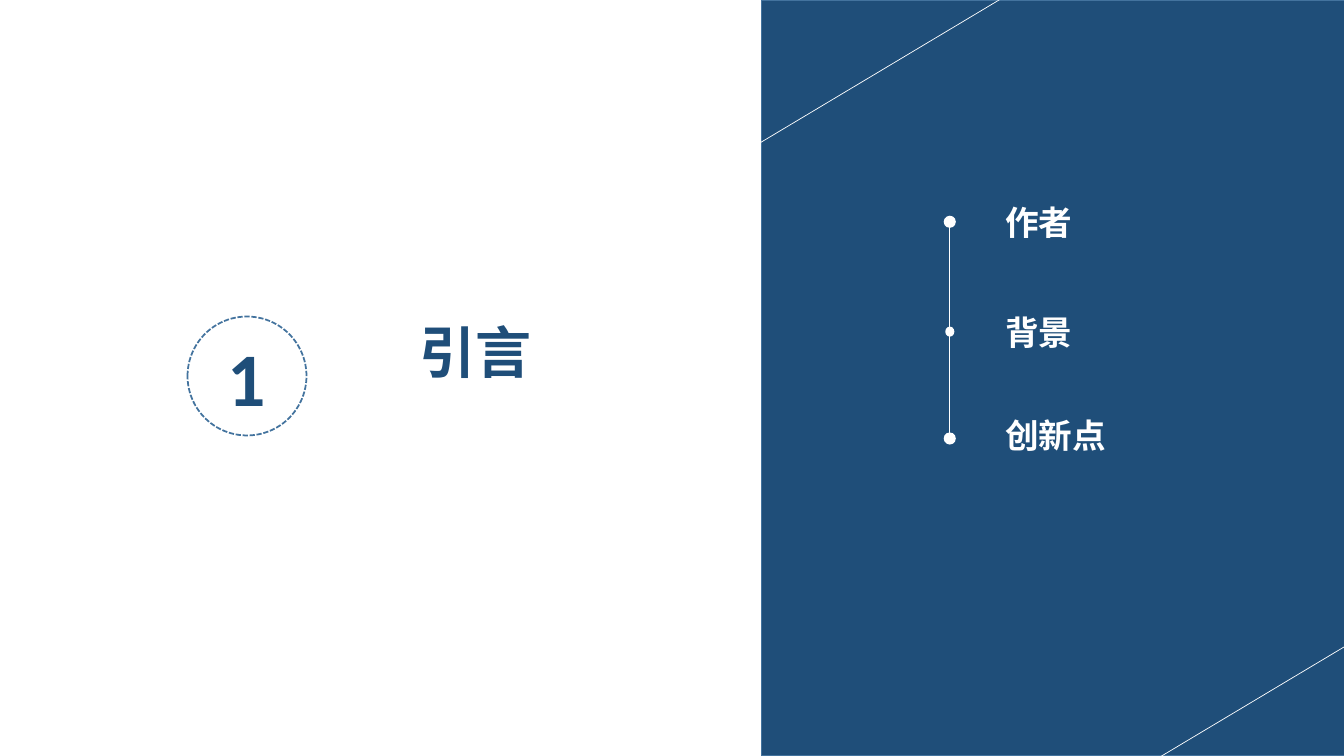
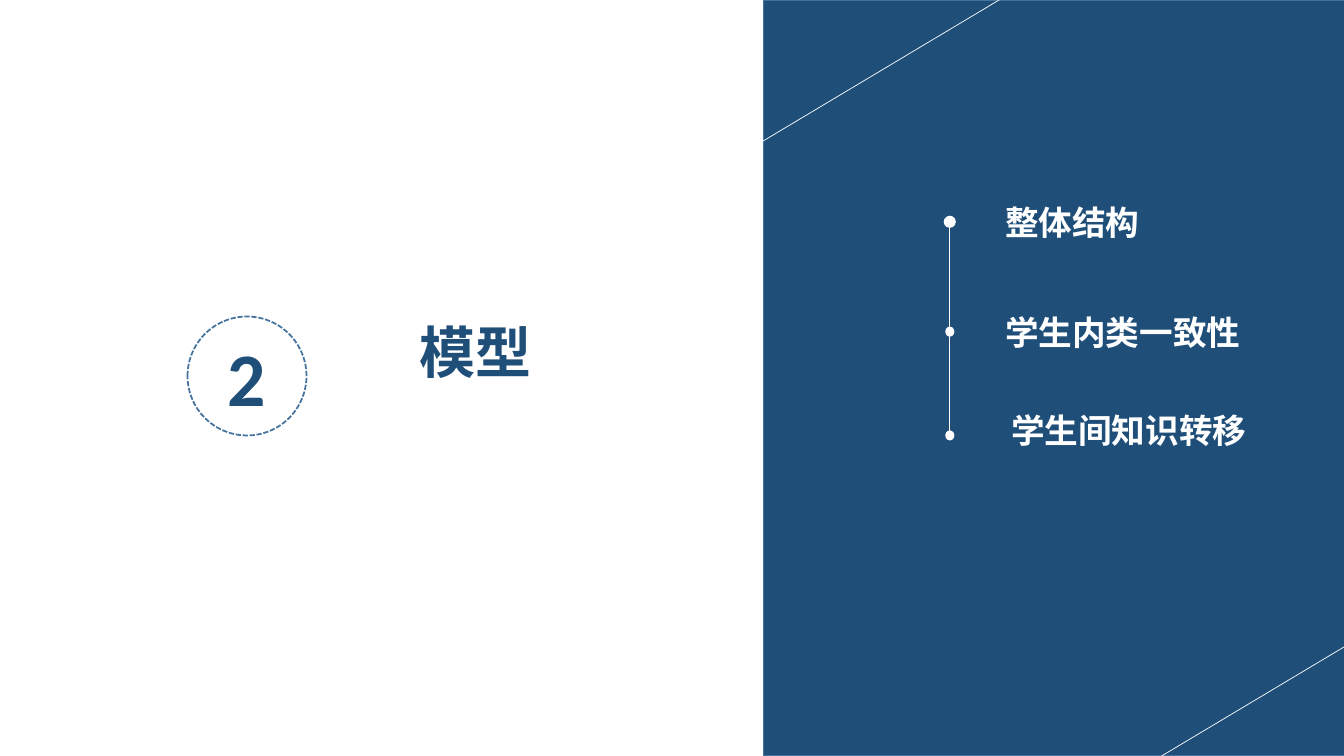
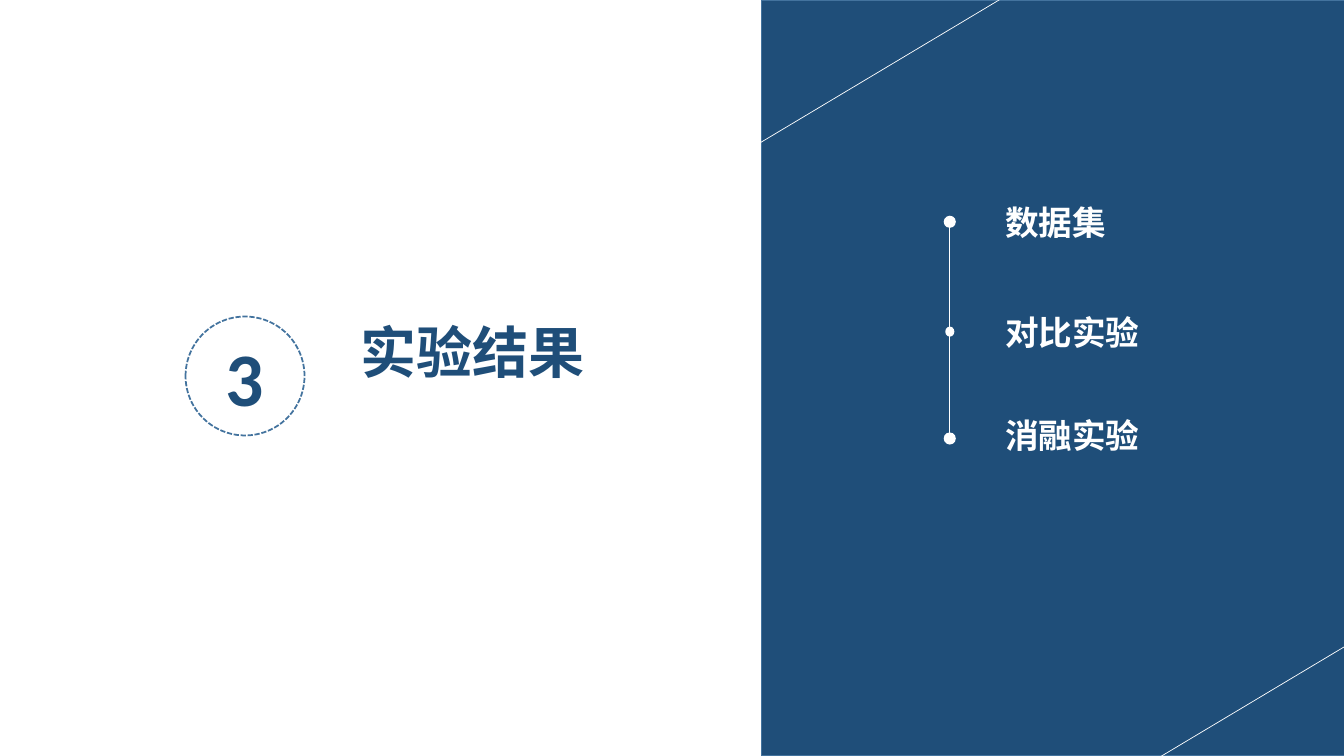
from lxml import etree
from pptx import Presentation
from pptx import util as u
from pptx.dml.color import RGBColor
from pptx.enum import dml, shapes, text
from pptx.oxml import ns

# Shared colours, fonts and text styles
NAVY = RGBColor(0x1F, 0x4E, 0x79)
OUTLINE = RGBColor(0x43, 0x73, 0x9E)
WHITE = RGBColor(0xFF, 0xFF, 0xFF)
CHINESE_FONT = "Noto Sans CJK SC"
NUMBER = {"name": "Calibri", "size": u.Pt(54), "bold": True}
TITLE = {"name": CHINESE_FONT, "size": u.Pt(40), "bold": True}
LABEL = {"name": CHINESE_FONT, "size": u.Pt(24), "bold": True}

# Shared layout, in inches
SLIDE_WIDTH, SLIDE_HEIGHT = 13.33, 7.5
TIMELINE_X = 9.42
LARGE_DOT, SMALL_DOT = (0.12, 0.12), (0.09, 0.1)
DIAGONALS = [(10.36, -0.27, 7.45, 1.47), (13.98, 6.03, 11.07, 7.77)]

# Each topic: label, label left, label top, label width, dot centre, dot size
SECTIONS = [
    {"number": "1", "title": "引言", "circle_left": 1.86, "title_left": 3.15,
     "panel_left": 7.55, "topics": [
         ("作者", 9.87, 1.95, 1.96, 2.2, LARGE_DOT),
         ("背景", 9.87, 3.04, 1.96, 3.29, SMALL_DOT),
         ("创新点", 9.87, 4.07, 1.96, 4.35, LARGE_DOT)]},
    {"number": "2", "title": "模型", "circle_left": 1.86, "title_left": 3.15,
     "panel_left": 7.57, "topics": [
         ("整体结构", 9.87, 1.95, 2.97, 2.2, LARGE_DOT),
         ("学生内类一致性", 9.87, 3.04, 2.91, 3.29, SMALL_DOT),
         ("学生间知识转移", 9.93, 4.02, 2.91, 4.32, SMALL_DOT)]},
    {"number": "3", "title": "实验结果", "circle_left": 1.84, "title_left": 3.12,
     "panel_left": 7.55, "topics": [
         ("数据集", 9.87, 1.95, 1.96, 2.2, LARGE_DOT),
         ("对比实验", 9.87, 3.04, 1.96, 3.29, SMALL_DOT),
         ("消融实验", 9.87, 4.07, 1.96, 4.35, LARGE_DOT)]},
]


def write_text(frame, words, style, colour, alignment):
    """Fill a text frame with one vertically centred line."""
    frame.word_wrap = True
    frame.vertical_anchor = text.MSO_ANCHOR.MIDDLE
    frame.margin_top = frame.margin_bottom = 0
    paragraph = frame.paragraphs[0]
    paragraph.alignment = alignment
    run = paragraph.add_run()
    run.text = words
    for attribute, value in style.items():
        setattr(run.font, attribute, value)
    run.font.color.rgb = colour
    east_asian = etree.SubElement(run._r.get_or_add_rPr(), ns.qn("a:ea"))
    east_asian.set("typeface", style["name"])


def add_text(slide, box, words, style, colour, alignment):
    shape = slide.shapes.add_textbox(*map(u.Inches, box))
    write_text(shape.text_frame, words, style, colour, alignment)


def add_filled(slide, kind, box, fill, outline=None, width=1):
    shape = slide.shapes.add_shape(kind, *map(u.Inches, box))
    shape.shadow.inherit = False
    shape.fill.solid()
    shape.fill.fore_color.rgb = fill
    if outline is None:
        shape.line.fill.background()
    else:
        shape.line.color.rgb = outline
        shape.line.width = u.Pt(width)
    return shape


def add_line(slide, ends, width):
    connector = slide.shapes.add_connector(
        shapes.MSO_CONNECTOR.STRAIGHT, *map(u.Inches, ends))
    connector.line.color.rgb = WHITE
    connector.line.width = u.Pt(width)
    etree.SubElement(connector._element.spPr, ns.qn("a:effectLst"))


def add_heading(slide, section):
    """Dashed number circle and section title."""
    circle = add_filled(slide, shapes.MSO_SHAPE.OVAL,
                        (section["circle_left"], 3.14, 1.18, 1.18),
                        WHITE, OUTLINE, 1.25)
    circle.line.dash_style = dml.MSO_LINE.SQUARE_DOT
    centre = text.PP_ALIGN.CENTER
    write_text(circle.text_frame, section["number"], NUMBER, NAVY, centre)
    add_text(slide, (section["title_left"], 3.1, 3.13, 0.77),
             section["title"], TITLE, NAVY, centre)


def add_panel(slide, left):
    """Dark right-hand panel with its corner diagonals."""
    add_filled(slide, shapes.MSO_SHAPE.RECTANGLE,
               (left, 0, 5.79, SLIDE_HEIGHT), NAVY, OUTLINE)
    for ends in DIAGONALS:
        add_line(slide, ends, 0.5)


def add_timeline(slide, topics):
    """Dots joined by lines, with a label beside each dot."""
    for upper, lower in zip(topics, topics[1:]):
        add_line(slide, (TIMELINE_X, upper[4], TIMELINE_X, lower[4]), 1)
    for words, left, top, label_width, centre, (width, height) in topics:
        add_filled(slide, shapes.MSO_SHAPE.OVAL,
                   (TIMELINE_X - width / 2, centre - height / 2, width, height),
                   WHITE)
        add_text(slide, (left, top, label_width, 0.5),
                 words, LABEL, WHITE, text.PP_ALIGN.LEFT)


def main():
    presentation = Presentation()
    presentation.slide_width = u.Inches(SLIDE_WIDTH)
    presentation.slide_height = u.Inches(SLIDE_HEIGHT)
    for section in SECTIONS:
        slide = presentation.slides.add_slide(presentation.slide_layouts[6])
        add_heading(slide, section)
        add_panel(slide, section["panel_left"])
        add_timeline(slide, section["topics"])
    presentation.save("out.pptx")


if __name__ == "__main__":
    main()
